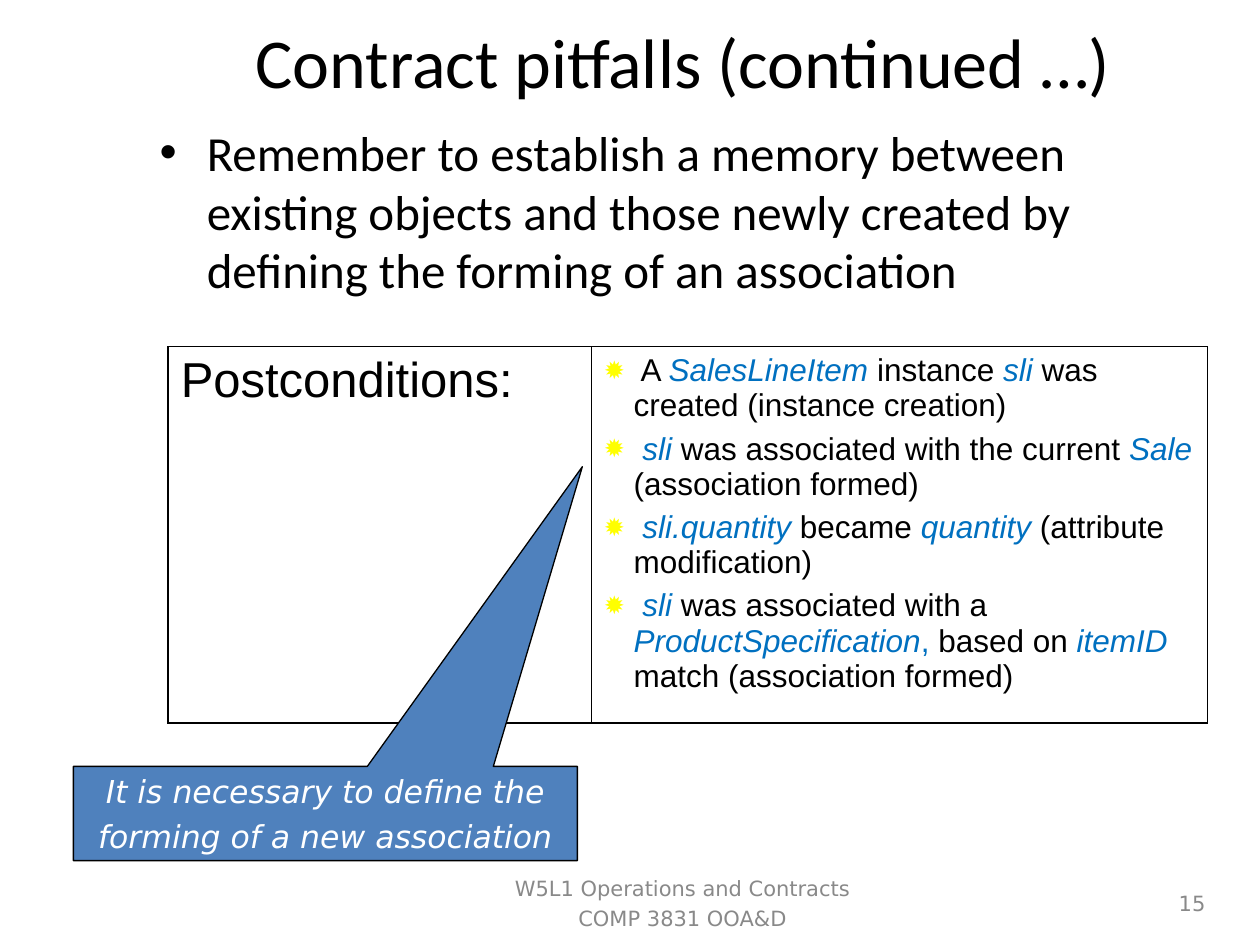
from lxml.etree import SubElement
from pptx import Presentation
from pptx.dml.color import RGBColor
from pptx.enum.shapes import MSO_SHAPE
from pptx.enum.text import MSO_ANCHOR, PP_ALIGN
from pptx.oxml.ns import qn
from pptx.util import Cm, Pt

COLORS = {"text": "000000", "term": "0070C0", "star": "FFFF00",
          "callout": "4F81BD", "white": "FFFFFF", "footer": "898989"}

# Each run is (text, colour name, italic)
POSTCONDITIONS = [
    [(" A ", "text", False), ("SalesLineItem", "term", True),
     (" instance ", "text", False), ("sli", "term", True),
     (" was created (instance creation)", "text", False)],
    [(" ", "text", False), ("sli ", "term", True),
     ("was associated with the current ", "text", False),
     ("Sale", "term", True), (" (association formed)", "text", False)],
    [(" ", "text", False), ("sli.quantity", "term", True),
     (" became ", "text", False), ("quantity", "term", True),
     (" (attribute modification)", "text", False)],
    [(" ", "text", False), ("sli ", "term", True),
     ("was associated with a ", "text", False),
     ("ProductSpecification", "term", True), (", ", "term", False),
     ("based on ", "text", False), ("itemID ", "term", True),
     ("match (association formed)", "text", False)],
]


def rgb(name):
    return RGBColor.from_string(COLORS[name])


def format_font(font, size, name, color, italic=False):
    font.size, font.name, font.italic = Pt(size), name, italic
    font.color.rgb = rgb(color)


def fill_text(tf, text, size, font, color, align=PP_ALIGN.LEFT, before=0, italic=False):
    """Write one paragraph per line of text, all in one format."""
    tf.word_wrap = True
    tf.text = text
    for p in tf.paragraphs:
        p.alignment, p.space_before = align, Pt(before)
        for r in p.runs:
            format_font(r.font, size, font, color, italic)


def set_bullet(p, char, color, indent, percent=100):
    pPr = p._p.get_or_add_pPr()
    pPr.set("marL", str(indent))
    pPr.set("indent", str(-indent))
    clr = SubElement(pPr, qn("a:buClr"))
    SubElement(clr, qn("a:srgbClr"), val=COLORS[color])
    SubElement(pPr, qn("a:buSzPct"), val=str(percent * 1000))
    SubElement(pPr, qn("a:buFont"), typeface="Arial")
    SubElement(pPr, qn("a:buChar"), char=char)


def set_borders(cell, widths):
    """Draw borders; widths are points for left, right, top and bottom."""
    tcPr = cell._tc.get_or_add_tcPr()
    for i, (side, width) in enumerate(zip(("lnL", "lnR", "lnT", "lnB"), widths)):
        ln = tcPr.makeelement(qn(f"a:{side}"), {"w": str(Pt(width))})
        SubElement(SubElement(ln, qn("a:solidFill")), qn("a:srgbClr"), val=COLORS["text"])
        tcPr.insert(i, ln)


def add_title(s, text):
    title = s.shapes.title
    title.left, title.top, title.width, title.height = Cm(2.97), Cm(0.33), Cm(21.59), Cm(1.78)
    tf = title.text_frame
    fill_text(tf, text, 40, "Calibri", "text", PP_ALIGN.CENTER)
    tf.vertical_anchor = MSO_ANCHOR.MIDDLE


def add_body(s, text):
    tf = s.shapes.add_textbox(Cm(2.97), Cm(2.34), Cm(21.79), Cm(4.01)).text_frame
    fill_text(tf, text, 28, "Calibri", "text", before=7)
    set_bullet(tf.paragraphs[0], "•", "text", Cm(0.95))


def add_contract_table(s):
    table = s.shapes.add_table(1, 2, Cm(3.39), Cm(6.99), Cm(20.95), Cm(7.58)).table
    table.first_row = table.horz_banding = False
    table.columns[0].width, table.columns[1].width = Cm(8.53), Cm(12.42)
    label, conditions = table.cell(0, 0), table.cell(0, 1)
    for cell, widths in ((label, (1.08, 0.45, 0.45, 1.08)),
                         (conditions, (0.45, 1.08, 0.45, 1.08))):
        cell.fill.background()
        set_borders(cell, widths)
    fill_text(label.text_frame, "Postconditions:", 28, "Arial", "text", before=7)
    tf = conditions.text_frame
    for i, runs in enumerate(POSTCONDITIONS):
        p = tf.add_paragraph() if i else tf.paragraphs[0]
        p.space_before = Pt(4.5)
        set_bullet(p, "✹", "star", Cm(0.6), 80)
        for text, color, italic in runs:
            r = p.add_run()
            r.text = text
            format_font(r.font, 18, "Arial", color, italic)


def add_callout(s, text):
    sp = s.shapes.add_shape(MSO_SHAPE.RECTANGULAR_CALLOUT, Cm(1.48), Cm(15.45), Cm(10.16), Cm(1.9))
    sp.adjustments[0], sp.adjustments[1] = 0.51, -3.68
    sp.shadow.inherit = False
    sp.fill.solid()
    sp.fill.fore_color.rgb = rgb("callout")
    sp.line.color.rgb = rgb("text")
    sp.line.width = Pt(0.75)
    tf = sp.text_frame
    tf.margin_left = tf.margin_right = 0
    tf.vertical_anchor = MSO_ANCHOR.MIDDLE
    fill_text(tf, text, 18, "DejaVu Sans", "white", PP_ALIGN.CENTER, 4.5, True)


def add_footer(s, text, left, width, align):
    tf = s.shapes.add_textbox(Cm(left), Cm(17.57), Cm(width), Cm(1.27)).text_frame
    tf.vertical_anchor = MSO_ANCHOR.MIDDLE
    fill_text(tf, text, 12, "DejaVu Sans", "footer", align, 3)


def main():
    prs = Presentation()
    prs.slide_width, prs.slide_height = Cm(25.4), Cm(19.05)
    s = prs.slides.add_slide(prs.slide_layouts[5])
    add_title(s, "Contract pitfalls (continued …)")
    add_body(s, "Remember to establish a memory between existing objects and "
                "those newly created by defining the forming of an association")
    add_contract_table(s)
    add_footer(s, "W5L1 Operations and Contracts\nCOMP 3831 OOA&D", 9.74, 8.04, PP_ALIGN.CENTER)
    add_footer(s, "15", 19.26, 5.29, PP_ALIGN.RIGHT)
    add_callout(s, "It is necessary to define the\nforming of a new association")
    prs.save("out.pptx")


if __name__ == "__main__":
    main()
